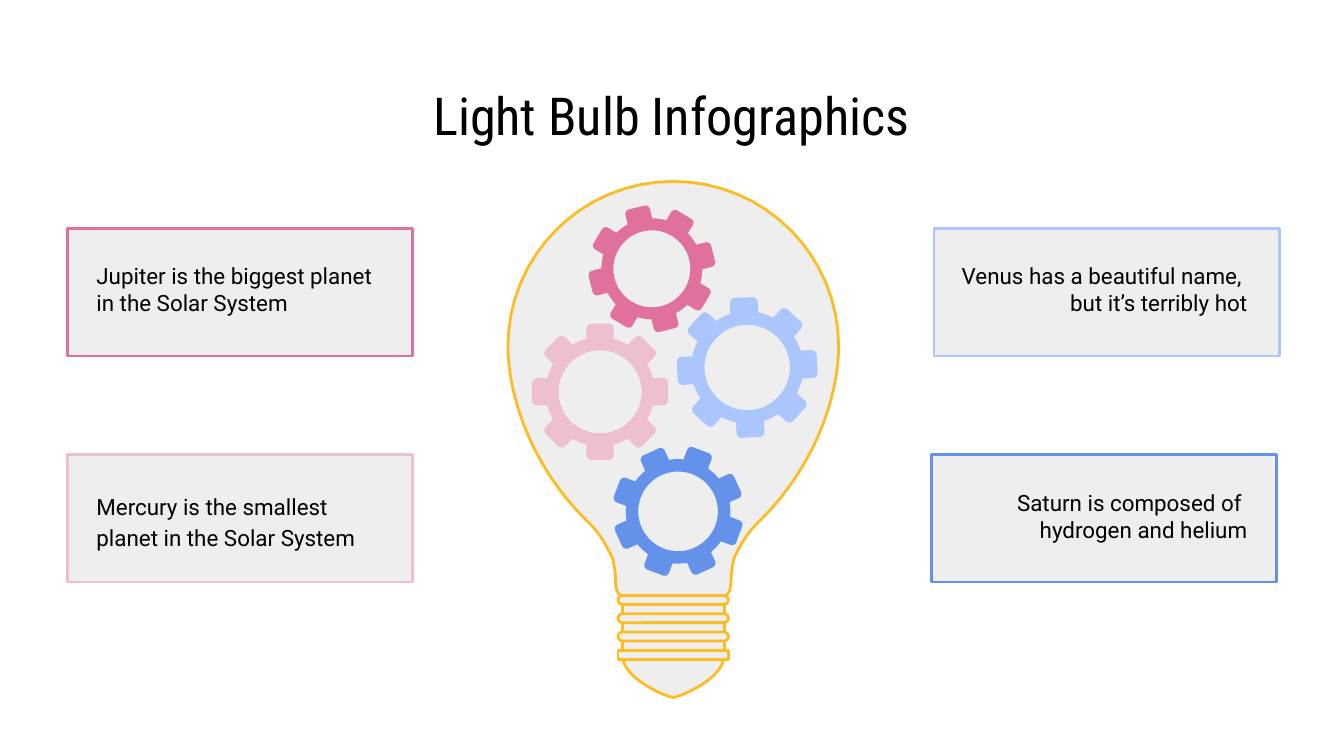
"""Build the light bulb infographic slide."""
from math import cos, radians, sin

from lxml import etree
from pptx import Presentation
from pptx.dml.color import RGBColor
from pptx.enum.shapes import MSO_SHAPE
from pptx.enum.text import MSO_ANCHOR, PP_ALIGN
from pptx.util import Pt

RECT, ROUND = MSO_SHAPE.RECTANGLE, MSO_SHAPE.ROUNDED_RECTANGLE
TOP, MIDDLE = MSO_ANCHOR.TOP, MSO_ANCHOR.MIDDLE
LEFT, CENTER, RIGHT = PP_ALIGN.LEFT, PP_ALIGN.CENTER, PP_ALIGN.RIGHT

BLACK = RGBColor(0x00, 0x00, 0x00)
GRAY = RGBColor(0xEE, 0xEE, 0xEE)
GOLD = RGBColor(0xFC, 0xBD, 0x24)
PINK = RGBColor(0xE0, 0x71, 0x9E)
ROSE = RGBColor(0xEE, 0xBE, 0xD3)
SKY = RGBColor(0xAA, 0xC6, 0xFC)
BLUE = RGBColor(0x64, 0x91, 0xE9)

AXIS = 360.7
GLASS = [
    (0, 97.2), (-49, 97.2), (-88.6, 136.8), (-88.6, 185.8),
    (-88.6, 189.6), (-88.2, 193.5), (-87.8, 197.3),
    (-85.7, 214.6), (-77, 248.4), (-46.8, 278.6),
    (-40.3, 284.4), (-36, 291.6), (-32.4, 299.5),
    (-31.7, 303.1), (-31, 306.7), (-31, 308.9),
    (-31, 319), (-31, 323.3), (0, 323.3),
]
TIP = [(-27.4, 350.6), (-27.4, 364.3), (-2.2, 373.7), (0, 373.7)]
TOOTH = [
    (0.775, -0.2), (0.94, -0.2), (0.98, -0.18), (1, -0.14),
    (1, 0.14), (0.98, 0.18), (0.94, 0.2), (0.775, 0.2),
]
GEARS = [
    (400.3, 196.9, 37.5, -3, SKY),
    (363.3, 274, 35, -24.5, BLUE),
    (321.5, 209.9, 36.5, 0, ROSE),
    (349.2, 144, 33.8, -14, PINK),
]
CARDS = [
    (36, 122.4, PINK, 44.6, 133.2, LEFT, 1,
     ["Jupiter is the biggest planet in the Solar System"]),
    (36, 243.4, ROSE, 44.6, 254.9, LEFT, 1.15,
     ["Mercury is the smallest planet in the Solar System"]),
    (500.4, 122.4, SKY, 507.6, 133.2, RIGHT, 1,
     ["Venus has a beautiful name, ", "but it’s terribly hot"]),
    (499, 243.4, BLUE, 507.6, 254.9, RIGHT, 1,
     ["Saturn is composed of ", "hydrogen and helium"]),
]


def curve(knots, steps=16):
    """Return points along joined cubic curves."""
    points = [knots[0]]
    for i in range(0, len(knots) - 1, 3):
        for step in range(1, steps + 1):
            t = step / steps
            u = 1 - t
            rates = (u**3, 3 * u * u * t, 3 * u * t * t, t**3)
            part = list(zip(rates, knots[i:i + 4]))
            points.append((sum(r * p[0] for r, p in part),
                           sum(r * p[1] for r, p in part)))
    return points


def mirror(half):
    """Return both sides of an outline whose left half is given."""
    right = [(-x, y) for x, y in reversed(half)]
    return [(AXIS + x, y) for x, y in half + right]


def polar(size, angle):
    """Return the point at a distance and an angle in degrees."""
    return size * cos(radians(angle)), size * sin(radians(angle))


class Canvas:
    """Hold the style and the current slide."""

    def __init__(self, slide, font="Roboto", size=12, weight=1.5):
        """Store the slide and its defaults."""
        self.slide, self.font, self.size, self.weight = slide, font, size, weight

    def paint(self, shape, fill, line=None):
        """Set the fill and the outline of a shape."""
        shape.shadow.inherit = False
        shape.fill.solid()
        shape.fill.fore_color.rgb = fill
        if line is None:
            shape.line.fill.background()
        else:
            shape.line.color.rgb = line
            shape.line.width = Pt(self.weight)

    def box(self, x, y, width, height, line, kind=RECT):
        """Add a gray preset shape with a colored outline."""
        shape = self.slide.shapes.add_shape(
            kind, Pt(x), Pt(y), Pt(width), Pt(height))
        if kind == ROUND:
            shape.adjustments[0] = 0.5
        self.paint(shape, GRAY, line)

    def outline(self, loops, fill, line=None):
        """Add a freeform made of closed loops."""
        loops = [[(Pt(x), Pt(y)) for x, y in loop] for loop in loops]
        pen = self.slide.shapes.build_freeform(*loops[0][0])
        pen.add_line_segments(loops[0][1:], close=True)
        for loop in loops[1:]:
            pen.move_to(*loop[0])
            pen.add_line_segments(loop[1:], close=True)
        self.paint(pen.convert_to_shape(), fill, line)

    def gear(self, x, y, size, turn, fill):
        """Add a gear with eight teeth and a round hole."""
        rim = []
        for angle in range(0, 360, 45):
            c, s = polar(1, angle + turn)
            rim += [(u * c - v * s, u * s + v * c) for u, v in TOOTH]
            rim += [polar(0.8, angle + turn + gap) for gap in (18, 22.5, 27)]
        hole = [polar(0.61, -angle) for angle in range(0, 360, 5)]
        self.outline([[(x + size * u, y + size * v) for u, v in loop]
                      for loop in (rim, hole)], fill)

    def text(self, lines, x, y, width, height, *, font=None, size=None,
             align=LEFT, anchor=TOP, spacing=1):
        """Add a text box with one paragraph for each line."""
        frame = self.slide.shapes.add_textbox(
            Pt(x), Pt(y), Pt(width), Pt(height)).text_frame
        frame.word_wrap = True
        frame.vertical_anchor = anchor
        frame.margin_left = frame.margin_right = Pt(7.2)
        frame.margin_top = frame.margin_bottom = Pt(7.2)
        for i, line in enumerate(lines):
            para = frame.paragraphs[0] if i == 0 else frame.add_paragraph()
            para.alignment = align
            para.line_spacing = spacing
            run = para.add_run()
            run.text = line
            run.font.name = font or self.font
            run.font.size = Pt(size or self.size)
            run.font.color.rgb = BLACK


def main():
    """Build and save the slide."""
    deck = Presentation()
    deck.slide_width, deck.slide_height = Pt(720), Pt(405)
    canvas = Canvas(deck.slides.add_slide(deck.slide_layouts[6]))
    canvas.text(["Light Bulb Infographics"], 224.6, 42.5, 270, 38.2,
                font="Roboto Condensed", size=28, align=CENTER, anchor=MIDDLE)

    canvas.outline([mirror([(-27.4, 343.4)] + curve(TIP))], GRAY, GOLD)
    canvas.outline([mirror(curve(GLASS))], GRAY, GOLD)
    rings = [319 + 9.8 * i for i in range(4)]
    for y in rings[:3]:
        canvas.box(AXIS - 27.4, y + 1.5, 54.8, 10.4, GOLD)
    for y in rings:
        kind = RECT if y == rings[-1] else ROUND
        canvas.box(AXIS - 29.6, y, 59.2, 4.8, GOLD, kind)

    for gear in GEARS:
        canvas.gear(*gear)
    for x, y, color, *rest in CARDS:
        canvas.box(x, y, 185, 68.4, color)
    for x, y, color, left, top, align, spacing, lines in CARDS:
        canvas.text(lines, left, top, 167.8, 46.1, align=align, spacing=spacing)
    deck.save("out.pptx")


if __name__ == "__main__":
    main()
